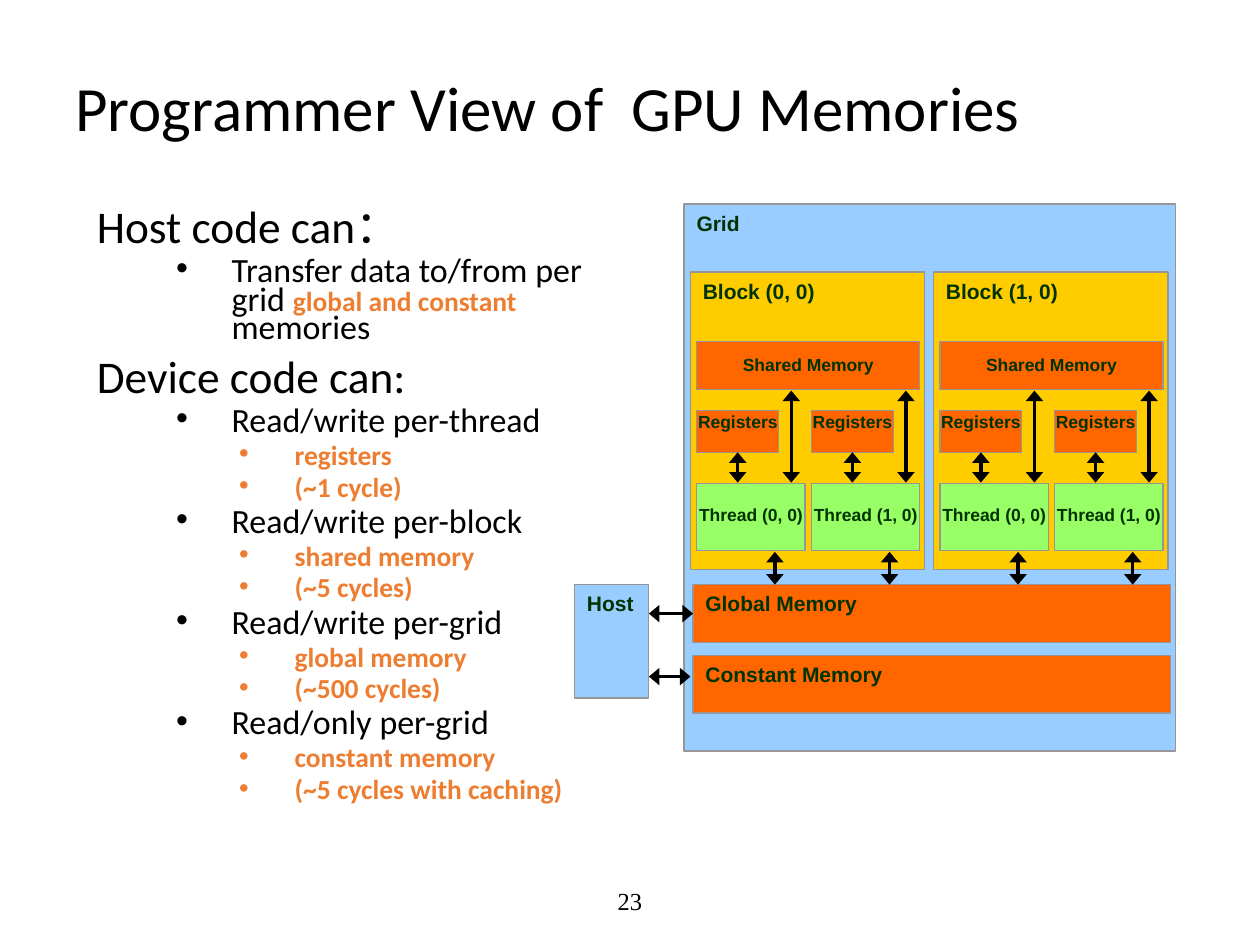
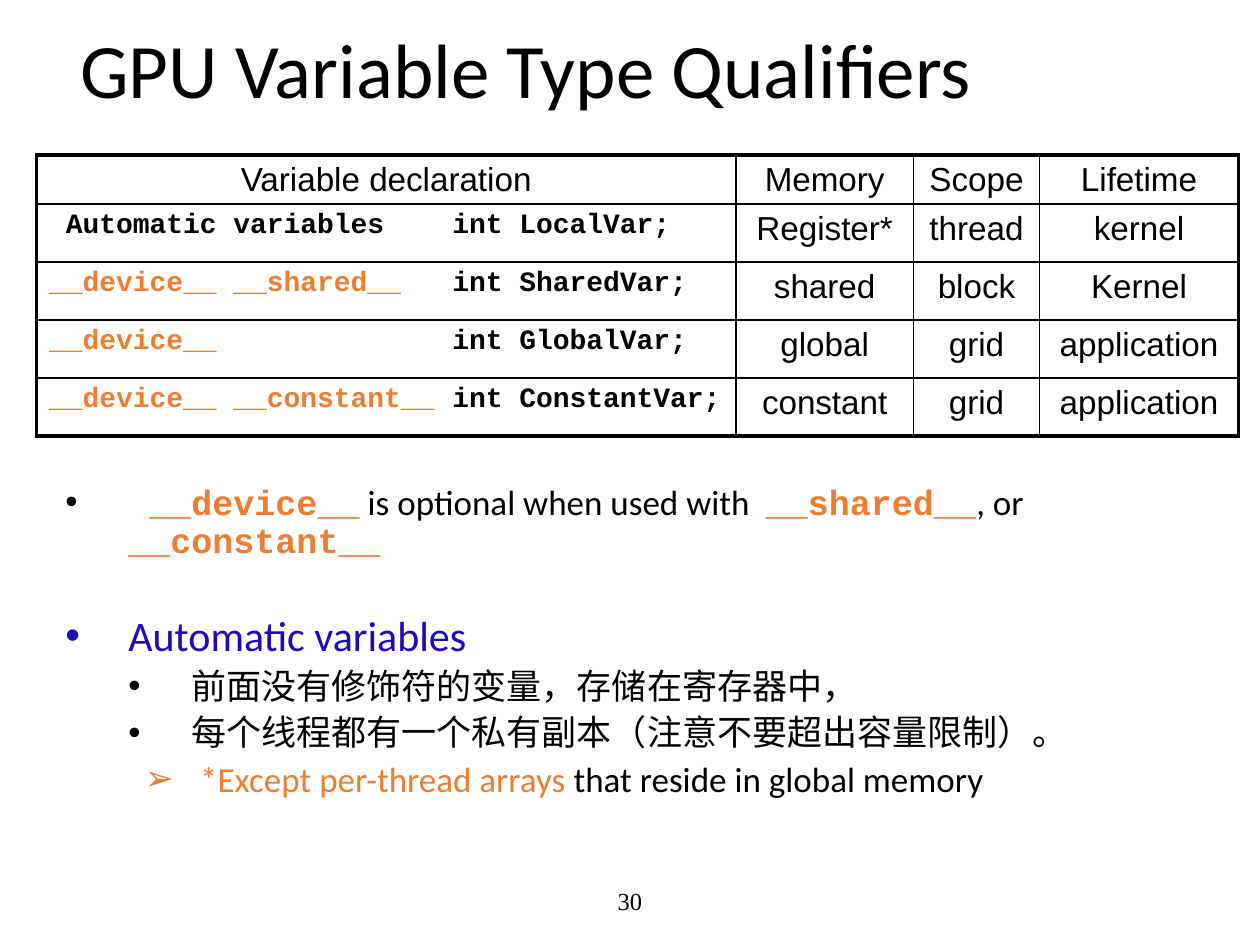
from lxml.etree import SubElement
from pptx import Presentation
from pptx.dml.color import RGBColor
from pptx.enum.shapes import MSO_CONNECTOR as CONN, MSO_SHAPE as SHAPE
from pptx.enum.text import MSO_ANCHOR as ANCHOR, PP_ALIGN as ALIGN
from pptx.oxml.ns import qn
from pptx.util import Inches, Pt

BLACK = RGBColor(0x00, 0x00, 0x00)
ORANGE = RGBColor(0xED, 0x7D, 0x31)
BLUE = RGBColor(0x1D, 0x07, 0xBF)
DARK_GREEN = RGBColor(0x00, 0x33, 0x00)
GRAY = RGBColor(0x96, 0x96, 0x96)
SKY = RGBColor(0x99, 0xCC, 0xFF)
GOLD = RGBColor(0xFF, 0xCC, 0x00)
FLAME = RGBColor(0xFF, 0x66, 0x00)
LIME = RGBColor(0x99, 0xFF, 0x66)

SANS, BODY, CODE, SERIF = "Arial", "Calibri", "Courier New", "Times New Roman"

HEAD = (25.9, BODY, BLACK, False)
ITEM = (19.4, BODY, BLACK, False)
DETAIL = (15.7, BODY, ORANGE, True)
PLAIN = (20, BODY, BLACK, False)
ACCENT = (20, BODY, ORANGE, False)
TOPIC = (24, BODY, BLUE, False)
KEYWORD = (20, CODE, ORANGE, True)
CODE_GAP = (20, CODE, BLACK, True)
QUALIFIER = (16, CODE, ORANGE, True)
DECLARATION = (16, CODE, BLACK, True)
CELL = (19, SANS, BLACK, False)

NO_BULLET = (0, 0, None)
DOT_1 = (1.07, -0.44, "•")
DOT_2 = (1.57, -0.44, "•")
WIDE_1 = (0.5, -0.5, "•")
WIDE_2 = (1, -0.5, "•")
ARROW = (1.07, -0.44, "➢")

ACCESS = [
    ("Read/write per-thread", "registers", "(~1 cycle)"),
    ("Read/write per-block", "shared memory", "(~5 cycles)"),
    ("Read/write per-grid", "global memory", "(~500 cycles)"),
    ("Read/only per-grid", "constant memory", "(~5 cycles with caching)"),
]
MEMORY_TEXT = [
    (NO_BULLET, 0, [("Host code can：", HEAD)]),
    (DOT_1, 5, [("Transfer data to/from per grid ", ITEM),
                ("global and constant ", DETAIL), ("memories", ITEM)]),
    (NO_BULLET, 10, [("Device code can:", HEAD)]),
]
for access, memory, cycles in ACCESS:
    MEMORY_TEXT += [(DOT_1, 5, [(access, ITEM)]),
                    (DOT_2, 5, [(memory, DETAIL)]),
                    (DOT_2, 5, [(cycles, DETAIL)])]

QUALIFIER_TEXT = [
    (WIDE_1, 0, [(" ", CODE_GAP), ("__device__", KEYWORD),
                 (" is optional when used with  ", PLAIN), ("__shared__", KEYWORD),
                 (", or  ", PLAIN), ("__constant__", KEYWORD)]),
    (WIDE_1, 31, [("Automatic variables", TOPIC)]),
    (WIDE_2, 5, [("前面没有修饰符的变量，存储在寄存器中，", PLAIN)]),
    (WIDE_2, 5, [("每个线程都有一个私有副本（注意不要超出容量限制）。", PLAIN)]),
    (ARROW, 5, [("*Except per-thread arrays", ACCENT),
                (" that reside in global memory", PLAIN)]),
]

TABLE_HEAD = ["Variable declaration", "Memory", "Scope", "Lifetime"]
TABLE_ROWS = [
    (" Automatic variables", "int LocalVar;", "Register*", "thread", "kernel"),
    ("__device__ __shared__", "int SharedVar;", "shared", "block", "Kernel"),
    ("__device__", "int GlobalVar;", "global", "grid", "application"),
    ("__device__ __constant__", "int ConstantVar;", "constant", "grid", "application"),
]
COL_WIDTHS = [5.55, 1.41, 1, 1.58]
ROW_HEIGHTS = [0.39] + [0.46] * 4
DECLARATION_TAB = 3.2

BLOCKS = [("Block (0, 0)", 5.48), ("Block (1, 0)", 7.41)]
THREADS = ["Thread (0, 0)", "Thread (1, 0)"]
THREAD_STEP = 0.91


def add_run(p, text, style):
    size, font, color, bold = style
    r = p.add_run()
    r.text = text
    r.font.size, r.font.name, r.font.bold = Pt(size), font, bold
    r.font.color.rgb = color


def add_text(slide, box, paragraphs, spacing=None, anchor=ANCHOR.TOP, align=ALIGN.LEFT):
    tf = slide.shapes.add_textbox(*map(Inches, box)).text_frame
    tf.word_wrap = True
    tf.vertical_anchor = anchor
    for i, ((left, hang, bullet), before, runs) in enumerate(paragraphs):
        p = tf.paragraphs[0] if i == 0 else tf.add_paragraph()
        p.alignment = align
        if spacing:
            p.line_spacing = spacing
        if before:
            p.space_before = Pt(before)
        if bullet:
            pPr = p._p.get_or_add_pPr()
            pPr.set("marL", str(Inches(left)))
            pPr.set("indent", str(Inches(hang)))
            SubElement(pPr, qn("a:buFont"), typeface=SANS)
            SubElement(pPr, qn("a:buChar"), char=bullet)
        for text, style in runs:
            add_run(p, text, style)


def add_slide(prs, title, title_box, title_size, number):
    slide = prs.slides.add_slide(prs.slide_layouts[6])
    add_text(slide, title_box, [(NO_BULLET, 0, [(title, (title_size, BODY, BLACK, False))])],
             0.9, ANCHOR.MIDDLE)
    add_text(slide, (3.31, 6.95, 3.38, 0.4),
             [(NO_BULLET, 0, [(number, (14, SERIF, BLACK, False))])],
             anchor=ANCHOR.MIDDLE, align=ALIGN.CENTER)
    return slide


def add_box(slide, text, box, fill, label_top=None):
    sp = slide.shapes.add_shape(SHAPE.RECTANGLE, *map(Inches, box))
    sp.shadow.inherit = False
    sp.fill.solid()
    sp.fill.fore_color.rgb = fill
    sp.line.color.rgb = GRAY
    sp.line.width = Pt(0.75)
    tf = sp.text_frame
    tf.vertical_anchor = ANCHOR.TOP
    centered = label_top is not None
    tf.word_wrap = not centered
    if centered:
        tf.margin_left = tf.margin_right = tf.margin_bottom = 0
        tf.margin_top = Inches(label_top)
    p = tf.paragraphs[0]
    p.alignment = ALIGN.CENTER if centered else ALIGN.LEFT
    add_run(p, text, (10 if centered else 12, SANS, DARK_GREEN, True))
    return sp


def add_arrow(slide, x1, y1, x2, y2):
    line = slide.shapes.add_connector(CONN.STRAIGHT, *map(Inches, (x1, y1, x2, y2)))
    line.line.color.rgb = BLACK
    line.line.width = Pt(2)
    ln = line.line._get_or_add_ln()
    for end in ("a:headEnd", "a:tailEnd"):
        SubElement(ln, qn(end), type="triangle", w="lg")
    SubElement(line._element.spPr, qn("a:effectLst"))
    return line


def add_block(slide, name, left):
    add_box(slide, name, (left, 2.16, 1.86, 2.36), GOLD)
    add_box(slide, "Shared Memory", (left + 0.05, 2.71, 1.77, 0.38), FLAME, 0.1)
    for i, thread in enumerate(THREADS):
        x = left + 0.05 + i * THREAD_STEP
        add_box(slide, thread, (x, 3.84, 0.86, 0.53), LIME, 0.16)
        registers = add_box(slide, "Registers", (x, 3.26, 0.65, 0.33), FLAME, 0)
        add_arrow(slide, x + 0.75, 3.83, x + 0.75, 3.1)
        middle = x + 0.65 / 2
        add_arrow(slide, middle, 3.83, middle, 3.59).end_connect(registers, 2)
        add_arrow(slide, x + 0.62, 4.38, x + 0.62, 4.64)


def add_memory_diagram(slide):
    add_box(slide, "Grid", (5.43, 1.62, 3.9, 4.34), SKY)
    global_memory = add_box(slide, "Global Memory", (5.5, 4.64, 3.79, 0.46), FLAME)
    add_box(slide, "Constant Memory", (5.5, 5.2, 3.79, 0.46), FLAME)
    for name, left in BLOCKS:
        add_block(slide, name, left)
    add_box(slide, "Host", (4.56, 4.64, 0.59, 0.9), SKY)
    add_arrow(slide, 5.15, 4.87, 5.5, 4.87).end_connect(global_memory, 1)
    add_arrow(slide, 5.15, 5.37, 5.48, 5.37)


def set_border(cell, side, width):
    ln = SubElement(cell._tc.get_or_add_tcPr(), qn("a:ln" + side), w=str(Pt(width)))
    fill = SubElement(ln, qn("a:solidFill"))
    SubElement(fill, qn("a:srgbClr"), val=str(BLACK))


def add_qualifier_table(slide):
    rows, cols = len(ROW_HEIGHTS), len(COL_WIDTHS)
    table = slide.shapes.add_table(rows, cols, *map(Inches, (
        0.29, 1.23, sum(COL_WIDTHS), sum(ROW_HEIGHTS)))).table
    table.first_row = table.horz_banding = False
    for column, width in zip(table.columns, COL_WIDTHS):
        column.width = Inches(width)
    for row, height in zip(table.rows, ROW_HEIGHTS):
        row.height = Inches(height)

    for r in range(rows):
        for c in range(cols):
            cell = table.cell(r, c)
            cell.margin_bottom = Inches(0.02)
            outer = {"L": c == 0, "R": c == cols - 1, "T": r == 0, "B": r == rows - 1}
            for side, is_outer in outer.items():
                set_border(cell, side, 2.25 if is_outer else 1)
            cell.fill.background()
            p = cell.text_frame.paragraphs[0]
            if r and c == 0:
                qualifier, declaration = TABLE_ROWS[r - 1][:2]
                tabs = SubElement(p._p.get_or_add_pPr(), qn("a:tabLst"))
                SubElement(tabs, qn("a:tab"), pos=str(Inches(DECLARATION_TAB)), algn="l")
                add_run(p, qualifier, DECLARATION if r == 1 else QUALIFIER)
                add_run(p, "\t" + declaration, DECLARATION)
            else:
                p.alignment = ALIGN.CENTER
                add_run(p, TABLE_ROWS[r - 1][c + 1] if r else TABLE_HEAD[c], CELL)


def main():
    prs = Presentation()
    prs.slide_width, prs.slide_height = Inches(10), Inches(7.5)

    slide = add_slide(prs, "Programmer View of  GPU Memories", (0.5, 0.3, 9.5, 1.17), 36, "23")
    add_text(slide, (0.67, 1.64, 4.3, 5.31), MEMORY_TEXT, 0.7)
    add_memory_diagram(slide)

    slide = add_slide(prs, "GPU Variable Type Qualifiers", (0.54, 0, 8.92, 1.17), 44, "30")
    add_text(slide, (0.42, 3.8, 9.18, 3.52), QUALIFIER_TEXT, 0.9)
    add_qualifier_table(slide)

    prs.save("out.pptx")


if __name__ == "__main__":
    main()
